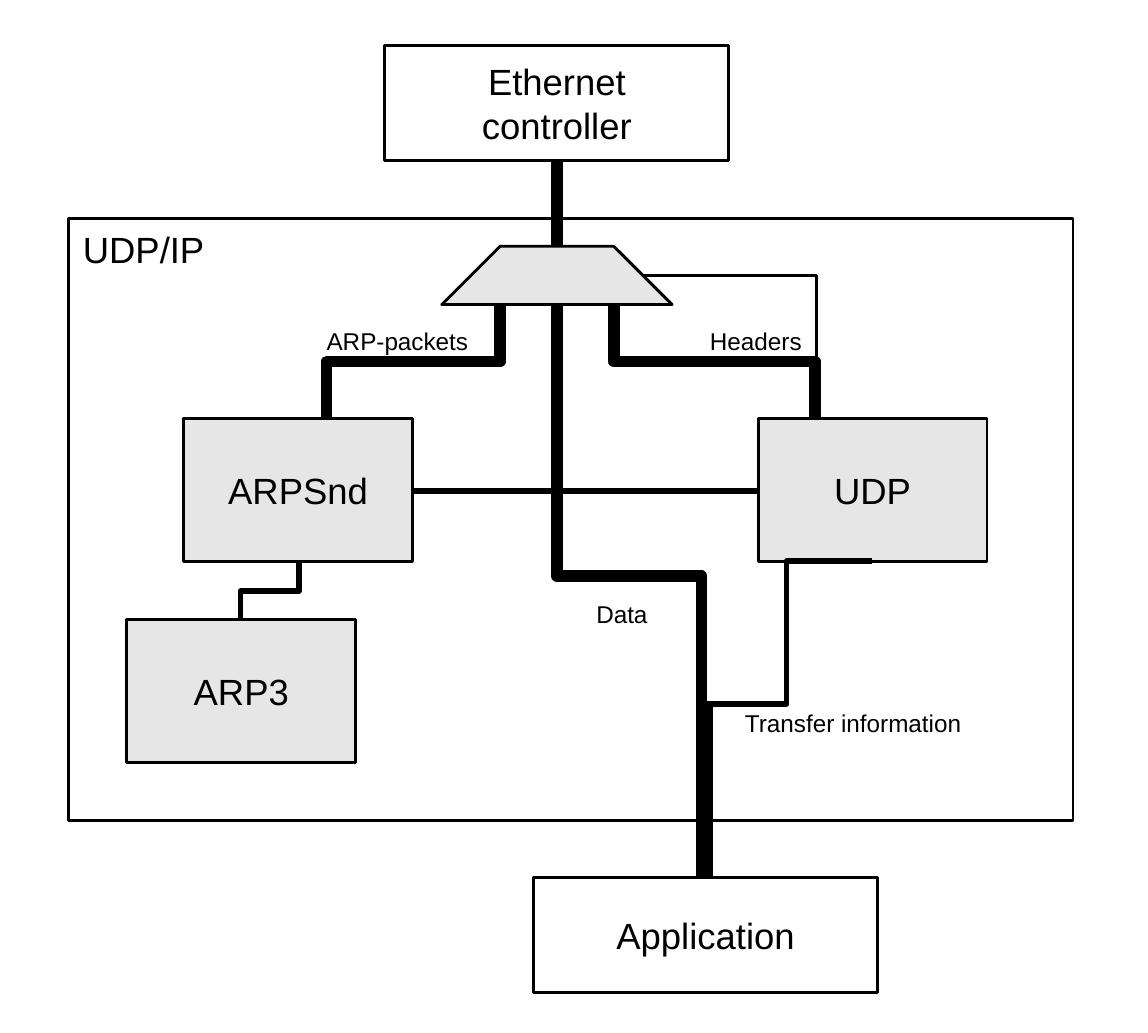
from dataclasses import dataclass

from lxml import etree
from pptx import Presentation
from pptx.dml.color import RGBColor
from pptx.enum.shapes import MSO_CONNECTOR, MSO_SHAPE
from pptx.enum.text import MSO_ANCHOR, MSO_AUTO_SIZE, PP_ALIGN
from pptx.oxml.ns import qn
from pptx.util import Inches, Pt

RECTANGLE = MSO_SHAPE.RECTANGLE
STRAIGHT = MSO_CONNECTOR.STRAIGHT
ELBOW = MSO_CONNECTOR.ELBOW
CENTER = PP_ALIGN.CENTER
LEFT = PP_ALIGN.LEFT
MIDDLE = MSO_ANCHOR.MIDDLE
TOP = MSO_ANCHOR.TOP
FIT_TEXT = MSO_AUTO_SIZE.SHAPE_TO_FIT_TEXT

COLORS = {"ink": "000000", "module": "E6E6E6"}
FONT = "Arial"
CM_PER_INCH = 2.54
SLIDE_WIDTH_CM, SLIDE_HEIGHT_CM = 20, 18
THIN, SIGNAL, BUS, WIDE_BUS = 1.42, 2.83, 5.67, 8.5
Point = tuple[float, float]


@dataclass(frozen=True)
class Block:
    text: str
    left: float
    top: float
    width: float
    height: float
    fill: str | None = None


@dataclass(frozen=True)
class Label:
    text: str
    left: float
    top: float
    width: float
    height: float = 0.31
    size: int = 12
    inset_x: float = 0.11
    inset_y: float = 0.06


@dataclass(frozen=True)
class Wire:
    start: Point
    end: Point
    weight: float
    bend: float | None = None
    vertical_first: bool = False


@dataclass(frozen=True)
class Outline:
    points: tuple[Point, ...]
    weight: float
    fill: str | None = None


BLOCKS = (
    Block("", 0.47, 1.5, 6.89, 4.13),
    Block("UDP", 5.2, 2.87, 1.57, 0.98, "module"),
    Block("ARPSnd", 1.26, 2.87, 1.57, 0.98, "module"),
    Block("ARP3", 0.87, 4.25, 1.57, 0.98, "module"),
    Block("Ethernet\ncontroller", 2.64, 0.31, 2.36, 0.79),
    Block("Application", 3.66, 6.02, 2.36, 0.79),
)
OUTLINES = (
    Outline(((3.03, 2.09), (4.61, 2.09), (4.21, 1.69), (3.43, 1.69)), THIN, "module"),
    Outline(((4.21, 2.09), (4.21, 2.48), (5.59, 2.48), (5.59, 2.87)), BUS),
    Outline(((3.43, 2.09), (3.43, 2.48), (2.24, 2.48), (2.24, 2.87)), BUS),
)
WIRES = (
    Wire((2.05, 3.86), (1.65, 4.25), SIGNAL, 0.5, True),
    Wire((2.83, 3.37), (5.2, 3.37), SIGNAL),
    Wire((4.83, 6.02), (4.83, 4.83), WIDE_BUS),
    Wire((4.81, 4.83), (5.98, 3.85), SIGNAL, 0.5),
    Wire((4.81, 4.83), (3.82, 2.09), BUS, 0.32, True),
    Wire((5.98, 2.87), (4.41, 1.89), THIN, 0.24),
    Wire((3.82, 1.69), (3.82, 1.1), BUS),
)
LABELS = (
    Label("UDP/IP", 0.47, 1.51, 1.38, 0.38, 18, 0.1, 0.05),
    Label("Data", 3.98, 4.05, 0.59),
    Label("Headers", 4.76, 2.18, 0.98),
    Label("ARP-packets", 2.13, 2.18, 1.38),
    Label("Transfer information", 5, 4.8, 1.73),
)


def color(name: str) -> RGBColor:
    return RGBColor.from_string(COLORS[name])


def style_line(shape, weight: float) -> None:
    shape.line.color.rgb = color("ink")
    shape.line.width = Pt(weight)
    etree.SubElement(shape._element.spPr.find(qn("a:ln")), qn("a:round"))


def style_shape(shape, weight: float, fill: str | None) -> None:
    shape.shadow.inherit = False
    if fill:
        shape.fill.solid()
        shape.fill.fore_color.rgb = color(fill)
    else:
        shape.fill.background()
    style_line(shape, weight)


def write_text(shape, text: str, size: int, align: PP_ALIGN, frame_format: dict,
               inset_x: float = 0.11, inset_y: float = 0.06) -> None:
    frame = shape.text_frame
    insets = {"margin_left": inset_x, "margin_right": inset_x,
              "margin_top": inset_y, "margin_bottom": inset_y}
    for attribute, inset in insets.items():
        setattr(frame, attribute, Inches(inset))
    for attribute, value in ({"word_wrap": True} | frame_format).items():
        setattr(frame, attribute, value)
    frame.text = text
    for paragraph in frame.paragraphs:
        paragraph.alignment = align
        for attribute, value in {"name": FONT, "size": Pt(size)}.items():
            setattr(paragraph.font, attribute, value)
        paragraph.font.color.rgb = color("ink")


def draw_block(slide, block: Block) -> None:
    box = slide.shapes.add_shape(RECTANGLE, Inches(block.left), Inches(block.top),
                                 Inches(block.width), Inches(block.height))
    style_shape(box, THIN, block.fill)
    if block.text:
        write_text(box, block.text, 18, CENTER, {"vertical_anchor": MIDDLE})


def draw_outline(slide, outline: Outline) -> None:
    first, *rest = [(Inches(x), Inches(y)) for x, y in outline.points]
    builder = slide.shapes.build_freeform(*first)
    builder.add_line_segments(rest, close=outline.fill is not None)
    style_shape(builder.convert_to_shape(), outline.weight, outline.fill)


def draw_wire(slide, wire: Wire) -> None:
    (x1, y1), (x2, y2) = wire.start, wire.end
    rotation = 0
    if wire.vertical_first:
        downward = y2 > y1
        rotation = 90 if downward else 270
        run, rise = abs(y2 - y1), (x1 - x2 if downward else x2 - x1)
        middle_x, middle_y = (x1 + x2) / 2, (y1 + y2) / 2
        x1, x2 = middle_x - run / 2, middle_x + run / 2
        y1, y2 = middle_y - rise / 2, middle_y + rise / 2
    kind = STRAIGHT if wire.bend is None else ELBOW
    connector = slide.shapes.add_connector(kind, Inches(x1), Inches(y1),
                                           Inches(x2), Inches(y2))
    style_line(connector, wire.weight)
    properties = connector._element.spPr
    etree.SubElement(properties, qn("a:effectLst"))
    if rotation:
        properties.find(qn("a:xfrm")).set("rot", str(rotation * 60000))
    if wire.bend is not None:
        adjustments = properties.find(qn("a:prstGeom")).find(qn("a:avLst"))
        etree.SubElement(adjustments, qn("a:gd"), name="adj1",
                         fmla=f"val {round(wire.bend * 100000)}")


def draw_label(slide, label: Label) -> None:
    box = slide.shapes.add_textbox(Inches(label.left), Inches(label.top),
                                   Inches(label.width), Inches(label.height))
    write_text(box, label.text, label.size, LEFT,
               {"vertical_anchor": TOP, "auto_size": FIT_TEXT},
               label.inset_x, label.inset_y)


def main() -> None:
    presentation = Presentation()
    presentation.slide_width = Inches(SLIDE_WIDTH_CM / CM_PER_INCH)
    presentation.slide_height = Inches(SLIDE_HEIGHT_CM / CM_PER_INCH)
    slide = presentation.slides.add_slide(presentation.slide_layouts[6])
    for block in BLOCKS:
        draw_block(slide, block)
    for outline in OUTLINES:
        draw_outline(slide, outline)
    for wire in WIRES:
        draw_wire(slide, wire)
    for label in LABELS:
        draw_label(slide, label)
    presentation.save("out.pptx")


if __name__ == "__main__":
    main()
